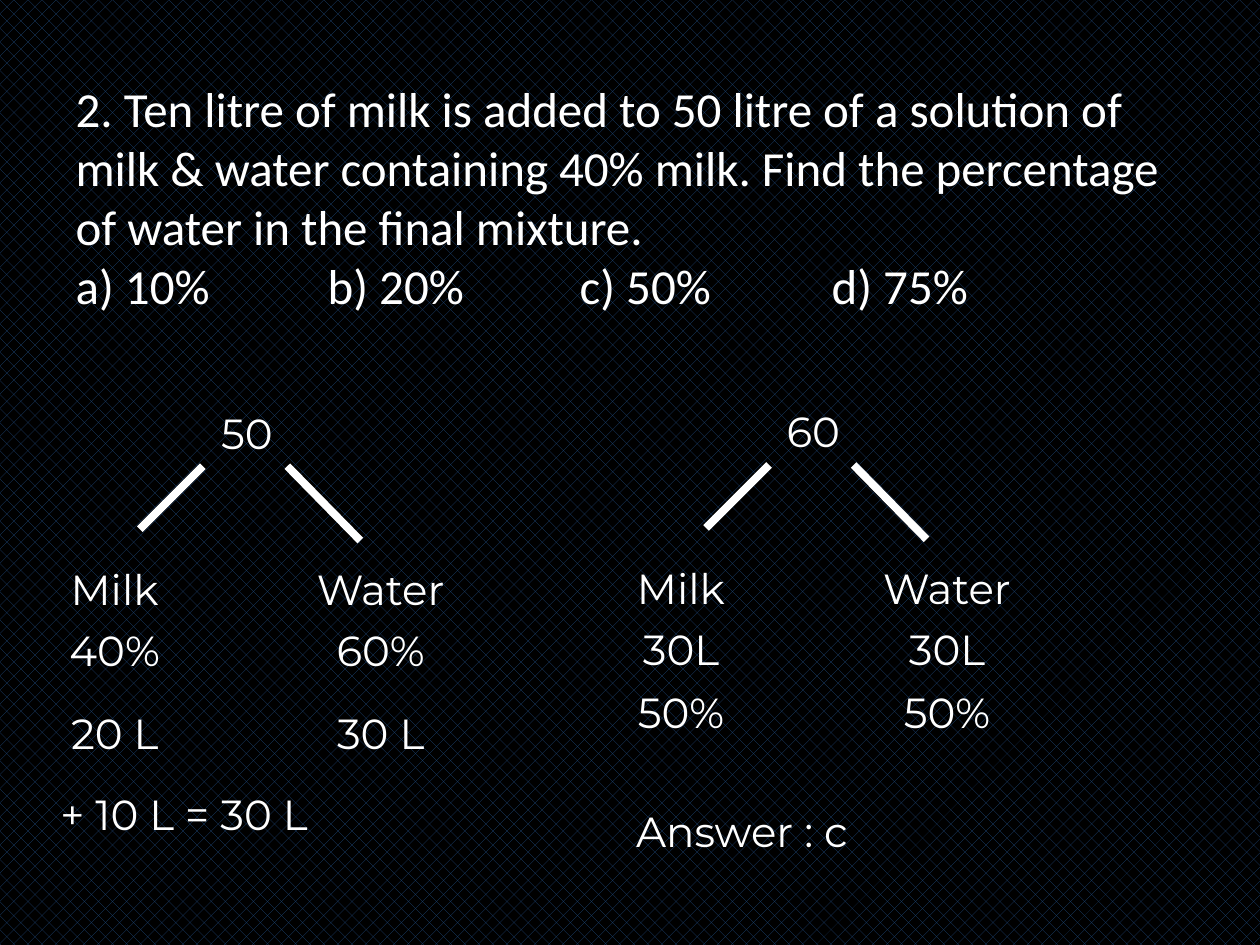
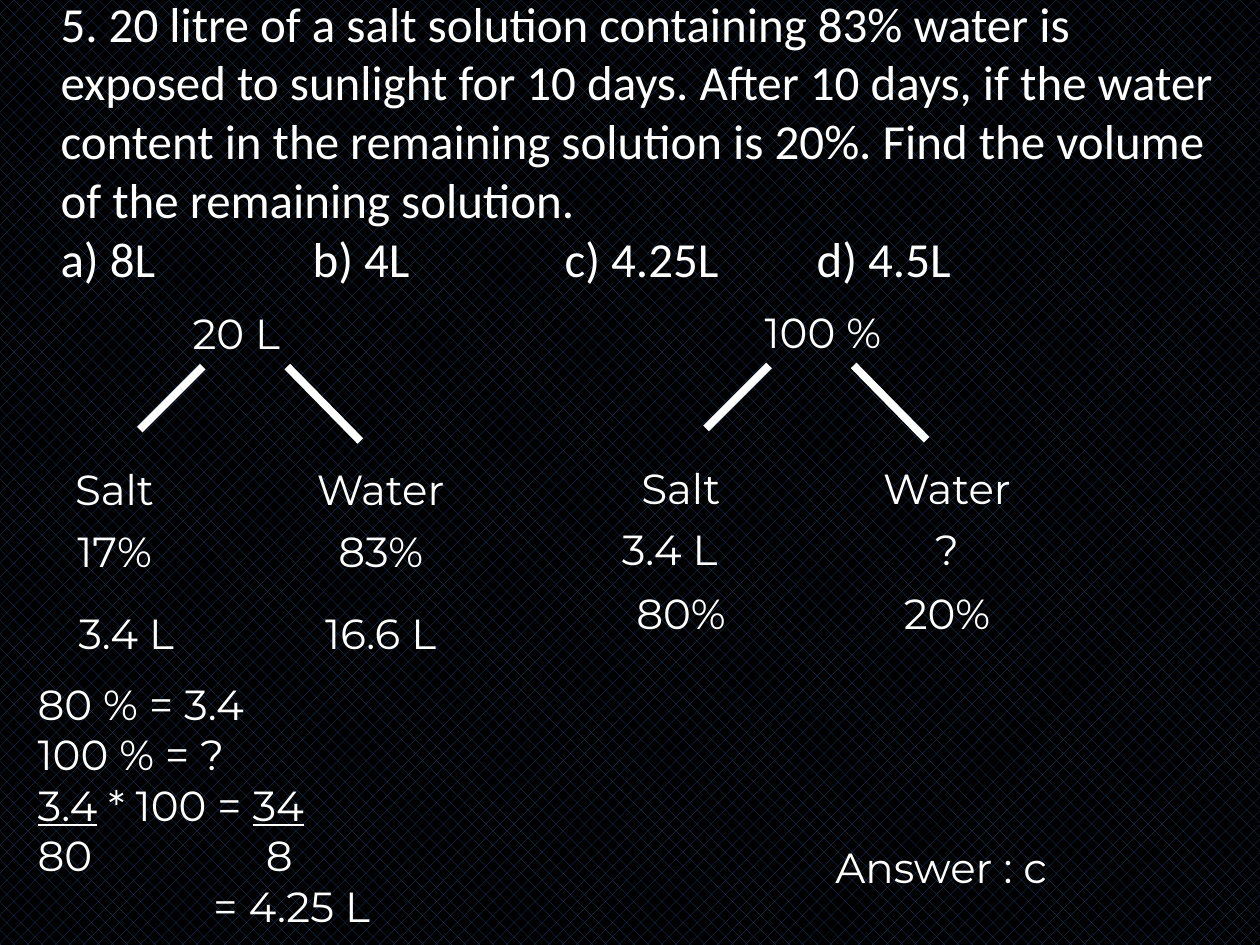
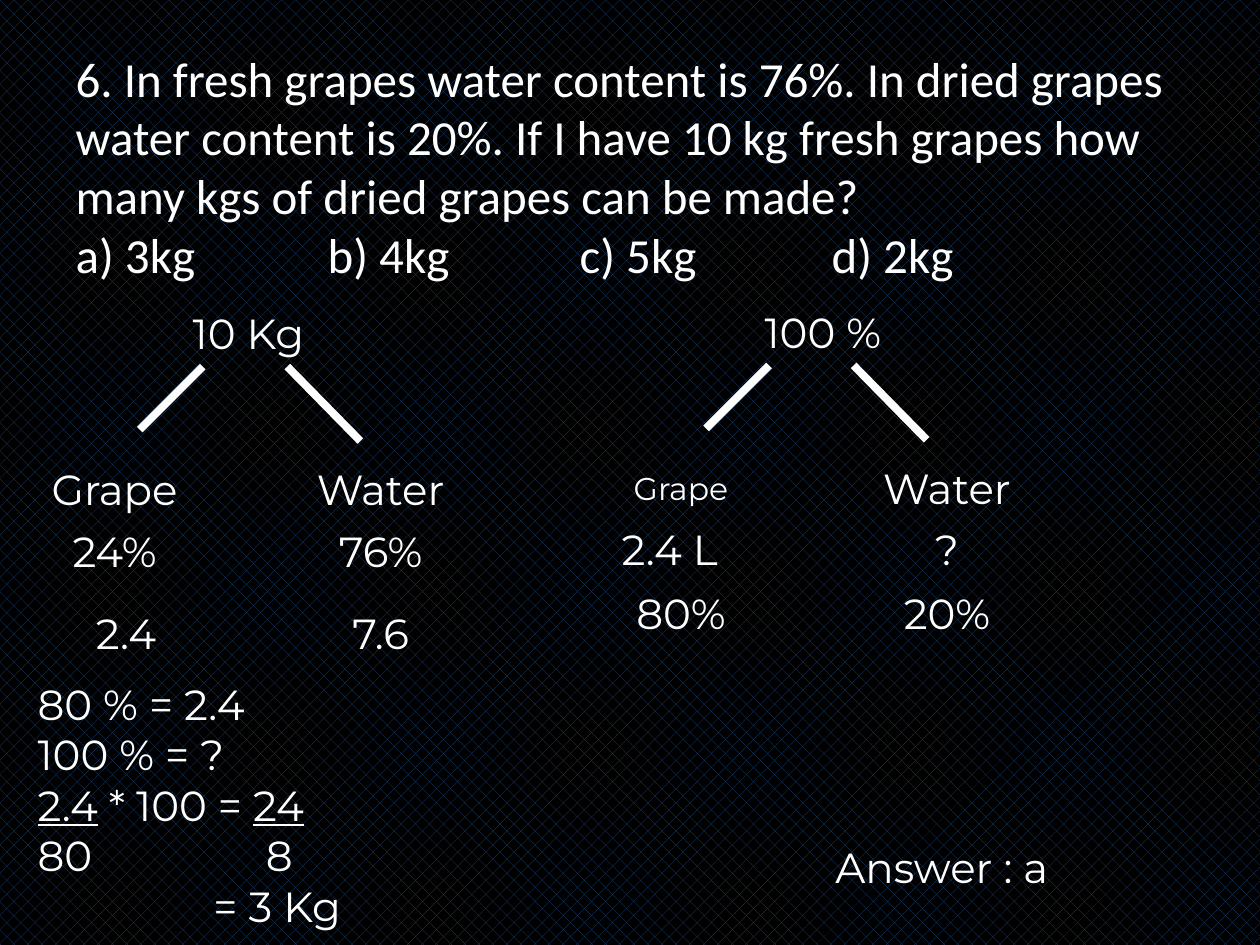
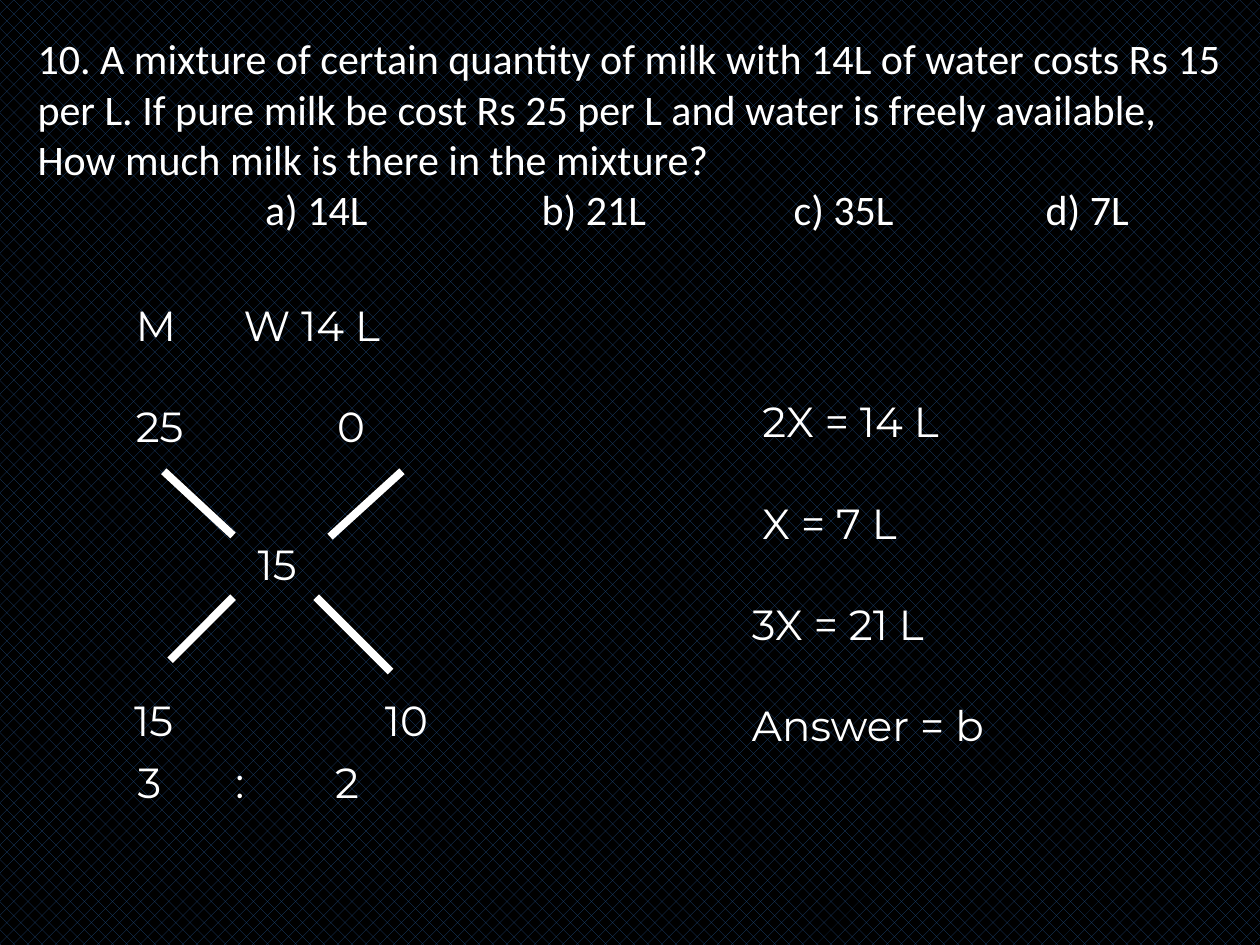
from typing import NamedTuple

from lxml.etree import SubElement
from pptx import Presentation
from pptx.dml.color import RGBColor
from pptx.enum.dml import MSO_PATTERN
from pptx.enum.shapes import MSO_CONNECTOR
from pptx.enum.text import MSO_ANCHOR, MSO_AUTO_SIZE, PP_ALIGN
from pptx.oxml.ns import qn
from pptx.util import Pt

COLORS = {"text": "FFFFFF", "weave": "1F497D", "ground": "000000"}
QUESTION_FONT, WORKING_FONT = "Calibri", "Montserrat"
TITLE_ONLY, BLANK = 5, 6
ROW_HEIGHT = 34.6
COLUMN_STEP = 152
LABEL_WIDTH = 102.2
BRANCHES = [(65.5, 72.7, 101.5, 36.7), (149.8, 36.7, 191.5, 79.2)]
OPTION_STOPS = (144, 288, 432)


class Line(NamedTuple):
    """A paragraph; underscores enclose underlined parts."""
    text: str
    stops: tuple = ()
    before: float = 0


class Cell(NamedTuple):
    """A short text placed relative to its column."""
    text: str
    dx: float = 13
    width: float = 76.3
    size: float = 24
    align: PP_ALIGN = PP_ALIGN.CENTER


class Tree(NamedTuple):
    """A total split into two columns of labels and values."""
    left: float
    top: float
    total: Cell
    columns: list
    row_tops: tuple


def color(key):
    """Return a named colour."""
    return RGBColor.from_string(COLORS[key])


def apply(target, values):
    """Set each attribute given in a dict."""
    for name, value in values.items():
        setattr(target, name, value)


def place(shape, left, top, width, height):
    """Move and size a shape in points."""
    apply(shape, {"left": Pt(left), "top": Pt(top),
                  "width": Pt(width), "height": Pt(height)})


def write(frame, lines, font=WORKING_FONT, size=24, align=PP_ALIGN.LEFT,
          anchor=MSO_ANCHOR.MIDDLE):
    """Fill a text frame with formatted lines."""
    apply(frame, {"word_wrap": True, "vertical_anchor": anchor,
                  "auto_size": MSO_AUTO_SIZE.NONE})
    for index, line in enumerate(lines):
        paragraph = frame.add_paragraph() if index else frame.paragraphs[0]
        apply(paragraph, {"alignment": align, "space_before": Pt(line.before)})
        if line.stops:
            tabs = SubElement(paragraph._p.get_or_add_pPr(), qn("a:tabLst"))
            for stop in line.stops:
                SubElement(tabs, qn("a:tab"), pos=str(Pt(stop)), algn="l")
        for part, text in enumerate(line.text.split("_")):
            if text:
                run = paragraph.add_run()
                run.text = text
                apply(run.font, {"name": font, "size": Pt(size),
                                 "underline": part % 2 == 1})
                run.font.color.rgb = color("text")


def add_text(slide, box, lines, **style):
    """Add a text box with the given lines."""
    frame = slide.shapes.add_textbox(*map(Pt, box)).text_frame
    write(frame, lines, **style)


def add_cell(slide, left, top, cell):
    """Add one cell at its column's position."""
    add_text(slide, (left + cell.dx, top, cell.width, ROW_HEIGHT),
             [Line(cell.text)], size=cell.size, align=cell.align)


def add_branches(slide, left, top, branches):
    """Draw thick lines relative to a corner."""
    for x1, y1, x2, y2 in branches:
        branch = slide.shapes.add_connector(
            MSO_CONNECTOR.STRAIGHT, Pt(left + x1), Pt(top + y1),
            Pt(left + x2), Pt(top + y2))
        branch.line.color.rgb = color("text")
        branch.line.width = Pt(4.5)
        SubElement(branch._element.spPr, qn("a:effectLst"))


def add_tree(slide, tree):
    """Draw a total, its two branches and the columns below."""
    add_cell(slide, tree.left, tree.top, tree.total)
    add_branches(slide, tree.left, tree.top, BRANCHES)
    for index, column in enumerate(tree.columns):
        for row_top, cell in zip(tree.row_tops, column):
            add_cell(slide, tree.left + index * COLUMN_STEP,
                     tree.top + row_top, cell)


def tree_slide(prs, question, options, box, trees, working, working_box,
               answer, answer_box, space_below=0):
    """Build a question slide solved with two trees."""
    slide = prs.slides.add_slide(prs.slide_layouts[TITLE_ONLY])
    title = slide.shapes.title
    place(title, *box)
    title.text_frame.margin_bottom = Pt(3.6 + space_below)
    write(title.text_frame, [Line(question), Line(options, OPTION_STOPS)],
          font=QUESTION_FONT, size=28)
    for tree in trees:
        add_tree(slide, tree)
    add_text(slide, working_box, working)
    add_text(slide, answer_box, [Line(f"Answer : {answer}")])


def mixture_trees(top, totals, columns):
    """Pair the before and after trees."""
    row_tops = [(89.3, 124.3, 171.4), (89.3, 124.3, 160.6)]
    return [Tree(left, top - index * 0.7, totals[index], columns[index],
                 row_tops[index])
            for index, left in enumerate((14.4, 338))]


def label(text, size=24):
    """Return a full-width column heading."""
    return Cell(text, 0, LABEL_WIDTH, size)


def evaporation_slide(prs, question, options, box, total, solid, solid_size,
                      shares, amounts, kept, numerator, result, answer,
                      space_below=0):
    """Build a slide where water leaves and the solid part stays."""
    water = label("Water")
    columns = [
        [[label(solid), Cell(shares[0]), Cell(amounts[0], width=89.3)],
         [water, Cell(shares[1]), label(amounts[1])]],
        [[label(solid, solid_size), Cell(f"{kept} L", 0, 89.3), Cell("80%")],
         [water, Cell("?"), Cell("20%")]]]
    working = [Line(f"80 % = {kept}"), Line("100 % = ?"),
               Line(f"_{kept}_ * 100 = _{numerator}_"),
               Line("80\t8", (130.5,)), Line(f"\t= {result}", (100.5,))]
    trees = mixture_trees(172.8, [total, Cell("100 %", 84, 96.5)], columns)
    tree_slide(prs, question, options, box, trees, working,
               (14.4, 379.4, 306, 160.6), answer,
               (470.2, 468.7, 221.8, 53.3), space_below)


def milk_slide(prs):
    """Build the milk and water percentage question."""
    milk, water = label("Milk"), label("Water")
    columns = [[[milk, Cell("40%"), Cell("20 L")],
                [water, Cell("60%"), Cell("30 L")]],
               [[milk, Cell("30L"), Cell("50%")],
                [water, Cell("30L"), Cell("50%")]]]
    totals = [Cell(text, 101.5, 50.4) for text in ("50", "60")]
    tree_slide(
        prs, "2. Ten litre of milk is added to 50 litre of a solution of milk "
        "& water containing 40% milk. Find the percentage of water in the "
        "final mixture.", "a) 10%\tb) 20%\tc) 50%\td) 75%",
        (36, 21.6, 648, 214.6), mixture_trees(229.7, totals, columns),
        [Line("+ 10 L = 30 L")], (27.4, 447.8, 216.7, ROW_HEIGHT),
        "c", (356.4, 447.8, 293, 53.3), space_below=33.5)


def alligation_slide(prs):
    """Build the milk price question solved with a cross."""
    slide = prs.slides.add_slide(prs.slide_layouts[BLANK])
    add_text(slide, (14.4, 15.1, 692, 123.8), [
        Line("10. A mixture of certain quantity of milk with 14L of water "
             "costs Rs 15 per L. If pure milk be cost Rs 25 per L and water "
             "is freely available, How much milk is there in the mixture?"),
        Line("\ta) 14L\tb) 21L\tc) 35L\td) 7L", (130, 288, 432, 576))],
        font=QUESTION_FONT, anchor=MSO_ANCHOR.TOP)
    add_text(slide, (70.6, 162, 177.8, 104.4), [
        Line("M\tW 14 L", (61.5,)), Line("25\t0", (115,), 29)])
    alligation_cross(slide, 42.5, 269.3)
    add_text(slide, (65.5, 429.1, 182.9, ROW_HEIGHT),
             [Line("\t3\t:\t2", (6, 62, 119))])
    add_text(slide, (422.6, 214.6, 238.3, 225.4), [
        Line("\t2X = 14 L", (6,)), Line("\tX = 7 L", (6,), 29),
        Line("3X = 21 L", before=29), Line("Answer = b", before=29)])


def alligation_cross(slide, left, top):
    """Draw the mean price, the cross arms and the differences."""
    add_branches(slide, left, top, [
        (51.1, 0, 90.7, 36.7), (146.1, 37.4, 187.2, 0),
        (54.7, 108, 90.7, 72), (138.2, 72, 180.7, 114.5)])
    add_cell(slide, left, top + 35.3, Cell("15", 90.7, 50.4))
    add_cell(slide, left, top + 124.5, Cell("15", 0, 90.7))
    add_cell(slide, left, top + 124.5, Cell("10", 141.1, 97.2))


def main():
    """Build and save the deck."""
    prs = Presentation()
    apply(prs, {"slide_width": Pt(720), "slide_height": Pt(540)})
    backdrop = prs.slide_master.background.fill
    backdrop.patterned()
    backdrop.pattern = MSO_PATTERN.PERCENT_25
    backdrop.fore_color.rgb = color("weave")
    backdrop.back_color.rgb = color("ground")
    milk_slide(prs)
    evaporation_slide(
        prs, "5. 20 litre of a salt solution containing 83% water is exposed "
        "to sunlight for 10 days. After 10 days, if the water content in the "
        "remaining solution is 20%. Find the volume of the remaining "
        "solution.", "a) 8L\tb) 4L\tc) 4.25L\td) 4.5L",
        (27.4, 21.6, 679, 150.5),
        Cell("20 L", 88.6, 76.3, align=PP_ALIGN.LEFT), "Salt", 24,
        ("17%", "83%"), ("3.4 L", "16.6 L"), "3.4", "34", "4.25 L", "c",
        space_below=33.5)
    evaporation_slide(
        prs, "6. In fresh grapes water content is 76%. In dried grapes water "
        "content is 20%. If I have 10 kg fresh grapes how many kgs of dried "
        "grapes can be made?", "a) 3kg\tb) 4kg\tc) 5kg\td) 2kg",
        (36, 21.6, 648, 146.2),
        Cell("10 Kg", 88.6, 92.2, align=PP_ALIGN.LEFT), "Grape", 18,
        ("24%", "76%"), ("2.4", "7.6"), "2.4", "24", "3 Kg", "a")
    alligation_slide(prs)
    prs.save("out.pptx")


if __name__ == "__main__":
    main()
